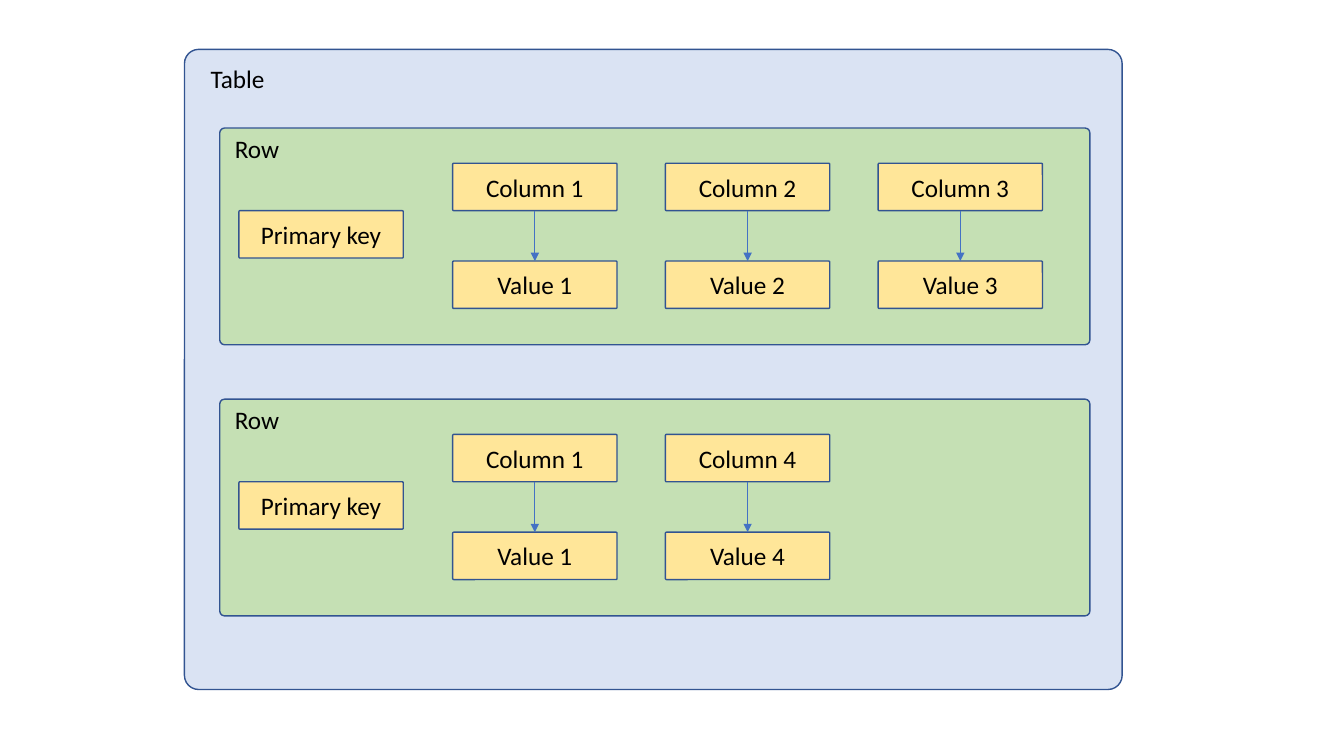
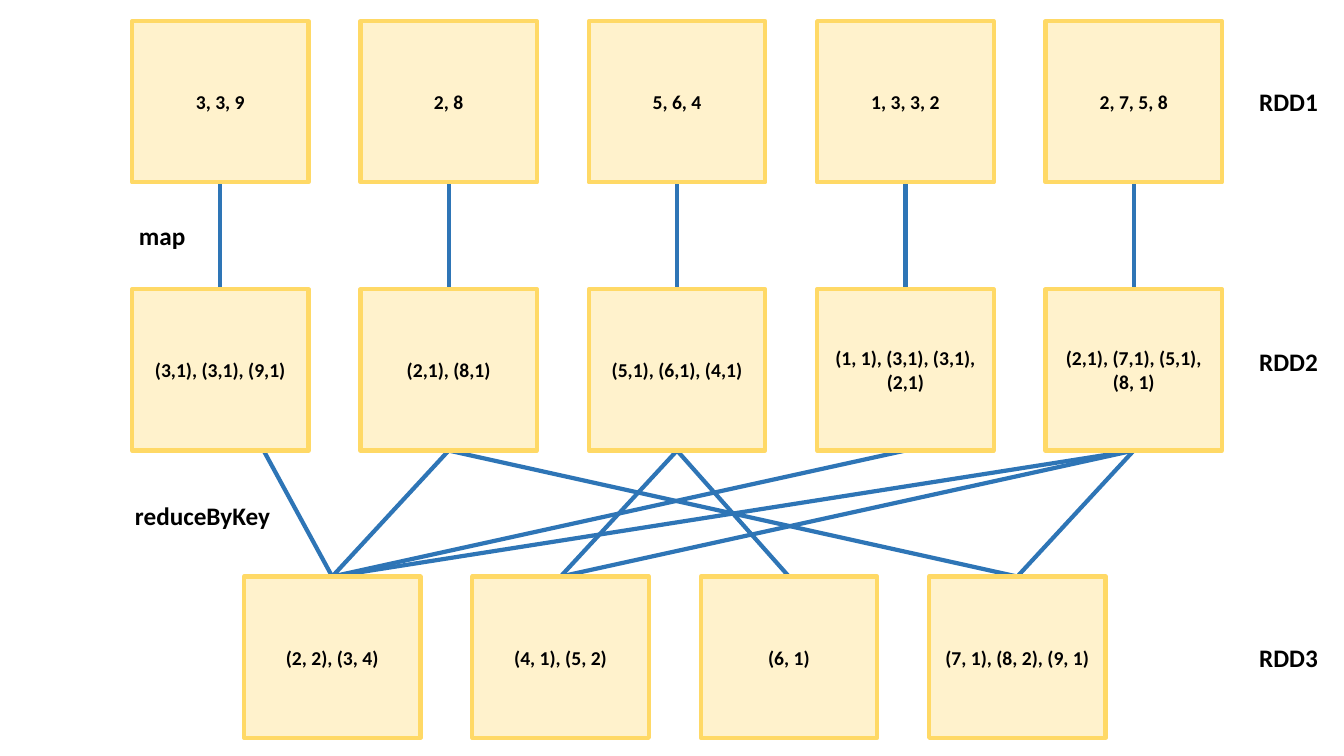
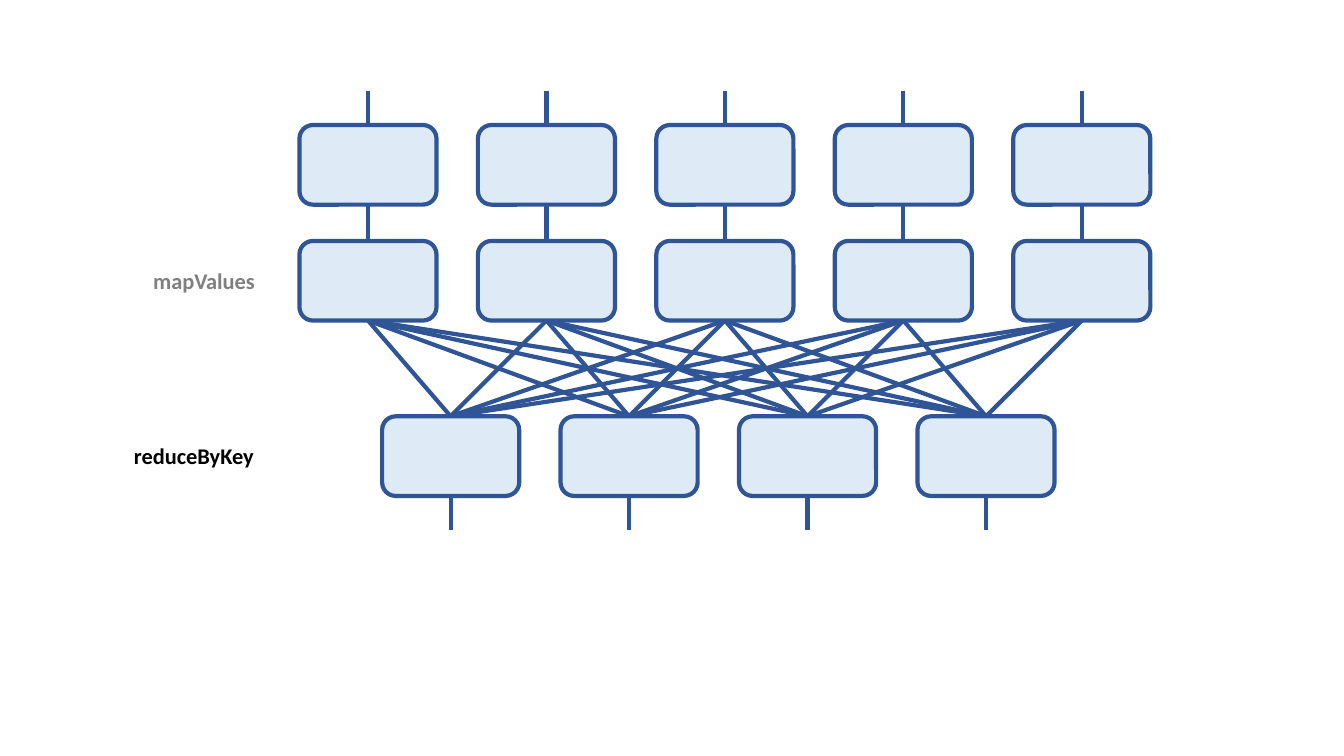
"""Build three diagram slides: table rows, RDD steps and a shuffle."""
import itertools

import lxml.etree
import pptx
import pptx.dml.color
import pptx.enum.shapes
import pptx.enum.text
import pptx.oxml.ns
import pptx.util

Inches = pptx.util.Inches
Pt = pptx.util.Pt
RGBColor = pptx.dml.color.RGBColor
Align = pptx.enum.text.PP_ALIGN
Anchor = pptx.enum.text.MSO_ANCHOR
AutoSize = pptx.enum.text.MSO_AUTO_SIZE
qn = pptx.oxml.ns.qn

BLACK = RGBColor(0x00, 0x00, 0x00)
GREY = RGBColor(0x80, 0x80, 0x80)
NAVY = RGBColor(0x32, 0x54, 0x91)
ARROW_BLUE = RGBColor(0x44, 0x72, 0xC4)
LINK_BLUE = RGBColor(0x2E, 0x75, 0xB6)
DEEP_BLUE = RGBColor(0x2F, 0x55, 0x97)
PALE_BLUE = RGBColor(0xDA, 0xE3, 0xF3)
ICE_BLUE = RGBColor(0xDE, 0xEB, 0xF7)
GREEN = RGBColor(0xC5, 0xE0, 0xB4)
YELLOW = RGBColor(0xFF, 0xE6, 0x99)
CREAM = RGBColor(0xFF, 0xF2, 0xCC)
GOLD = RGBColor(0xFF, 0xD9, 0x66)

FONT = "Calibri"
PLAIN = {"size": Pt(18), "bold": False}
STRONG = {"size": Pt(18), "bold": True}
SMALL = {"size": Pt(14), "bold": True}
MEDIUM = {"size": Pt(16), "bold": True}
FIT = {"word_wrap": False, "auto_size": AutoSize.SHAPE_TO_FIT_TEXT}
CENTRED = {"word_wrap": True, "vertical_anchor": Anchor.MIDDLE}

TABLE_STYLE = {"fill": PALE_BLUE, "line": NAVY, "width": 1, "corner": 0.022}
ROW_STYLE = {**TABLE_STYLE, "fill": GREEN}
CELL_STYLE = {**TABLE_STYLE, "fill": YELLOW, "font": PLAIN}
PART_STYLE = {"fill": CREAM, "line": GOLD, "width": 3, "corner": 0, "font": SMALL}
TASK_STYLE = {"fill": ICE_BLUE, "line": DEEP_BLUE, "width": 3, "corner": 0.17}


def add_box(page, place, text, style):
    """Add a filled box, or a plain label when the style has no fill."""
    place = [Inches(length) for length in place]
    if "fill" in style:
        box = page.shapes.add_shape(
            pptx.enum.shapes.MSO_SHAPE.ROUNDED_RECTANGLE, *place)
        box.adjustments[0] = style["corner"]
        box.shadow.inherit = False
        box.fill.solid()
        box.fill.fore_color.rgb = style["fill"]
        box.line.color.rgb = style["line"]
        box.line.width = Pt(style["width"])
        frame_format, align = CENTRED, Align.CENTER
    else:
        box = page.shapes.add_textbox(*place)
        frame_format, align = FIT, Align.LEFT
    if text:
        for name, value in frame_format.items():
            setattr(box.text_frame, name, value)
        para = box.text_frame.paragraphs[0]
        para.alignment = align
        span = para.add_run()
        span.text = text
        for name, value in {"name": FONT, **style["font"]}.items():
            setattr(span.font, name, value)
        span.font.color.rgb = style.get("color", BLACK)


def add_line(page, start, end, color, width, arrow=False):
    """Add a straight line without shadow, with an arrowhead if asked."""
    line = page.shapes.add_connector(
        pptx.enum.shapes.MSO_CONNECTOR.STRAIGHT,
        *[Inches(length) for length in (*start, *end)])
    line.line.color.rgb = color
    line.line.width = Pt(width)
    properties = line._element.spPr
    if arrow:
        outline = properties.find(qn("a:ln"))
        lxml.etree.SubElement(outline, qn("a:tailEnd"), type="triangle")
    lxml.etree.SubElement(properties, qn("a:effectLst"))


deck = pptx.Presentation()
deck.slide_width = Inches(13.33)
deck.slide_height = Inches(7.5)
blank = deck.slide_layouts[6]

page = deck.slides.add_slide(blank)
add_box(page, (1.83, 0.49, 9.3, 6.35), "", TABLE_STYLE)
add_box(page, (1.99, 0.58, 0.74, 0.4), "Table", {"font": PLAIN})
cell_width, cell_height = 1.63, 0.47
for row_top, numbers in ((1.27, (1, 2, 3)), (3.96, (1, 4))):
    add_box(page, (2.18, row_top, 8.63, 2.15), "", ROW_STYLE)
    add_box(page, (2.23, row_top, 0.65, 0.4), "Row", {"font": PLAIN})
    add_box(page, (2.37, row_top + 0.82, cell_width, cell_height),
            "Primary key", CELL_STYLE)
    column_top, value_top = row_top + 0.35, row_top + 1.32
    for index, number in enumerate(numbers):
        left = 4.49 + 2.11 * index
        middle = left + cell_width / 2
        for top, word in ((column_top, "Column"), (value_top, "Value")):
            add_box(page, (left, top, cell_width, cell_height),
                    f"{word} {number}", CELL_STYLE)
        add_line(page, (middle, column_top + cell_height), (middle, value_top),
                 ARROW_BLUE, 0.5, arrow=True)

page = deck.slides.add_slide(blank)
part_width, part_height, part_pitch = 1.75, 1.6, 9.06 / 4
rdd_rows = (
    ("RDD1", 0.81, 1.31, 0.21,
     ("3, 3, 9", "2, 8", "5, 6, 4", "1, 3, 3, 2", "2, 7, 5, 8")),
    ("RDD2", 3.39, 1.31, 2.87,
     ("(3,1), (3,1), (9,1)", "(2,1), (8,1)", "(5,1), (6,1), (4,1)",
      "(1, 1), (3,1), (3,1), (2,1)", "(2,1), (7,1), (5,1), (8, 1)")),
    ("RDD3", 6.32, 2.42, 5.72,
     ("(2, 2), (3, 4)", "(4, 1), (5, 2)", "(6, 1)", "(7, 1), (8, 2), (9, 1)")),
)
sources = [1.31 + part_width / 2 + part_pitch * index for index in range(5)]
targets = [2.42 + part_width / 2 + part_pitch * index for index in range(4)]
for middle in sources:
    add_line(page, (middle, 1.81), (middle, 2.87), LINK_BLUE, 3)
add_line(page, (2.25, 3.8), (targets[0], 5.72), LINK_BLUE, 3)
shuffle = ((1, 0), (1, 3), (2, 1), (2, 2), (3, 0), (4, 0), (4, 1), (4, 3))
for source, target in shuffle:
    add_line(page, (sources[source], 4.47), (targets[target], 5.72), LINK_BLUE, 3)
for name, name_top, first_left, top, parts in rdd_rows:
    for index, part in enumerate(parts):
        add_box(page, (first_left + part_pitch * index, top, part_width, part_height),
                part, PART_STYLE)
    add_box(page, (12.39, name_top, 0.79, 0.4), name, {"font": STRONG})
add_box(page, (1.28, 2.14, 0.67, 0.4), "map", {"font": STRONG})
add_box(page, (1.24, 4.91, 1.55, 0.4), "reduceByKey", {"font": STRONG})

page = deck.slides.add_slide(blank)
task_width, task_height, task_pitch, stub = 1.36, 0.79, 1.77, 0.34
map_lefts = [2.97 + task_pitch * index for index in range(5)]
reduce_lefts = [3.79 + task_pitch * index for index in range(4)]
half = task_width / 2
for map_left, reduce_left in itertools.product(map_lefts, reduce_lefts):
    add_line(page, (map_left + half, 3.18), (reduce_left + half, 4.13), DEEP_BLUE, 3)
for lefts, stub_top in ((map_lefts, 0.9), (map_lefts, 2.04), (reduce_lefts, 4.92)):
    for left in lefts:
        add_line(page, (left + half, stub_top), (left + half, stub_top + stub),
                 DEEP_BLUE, 3)
for lefts, top in ((map_lefts, 1.24), (map_lefts, 2.39), (reduce_lefts, 4.13)):
    for left in lefts:
        add_box(page, (left, top, task_width, task_height), "", TASK_STYLE)
add_box(page, (1.42, 2.6, 1.22, 0.37), "mapValues", {"font": MEDIUM, "color": GREY})
add_box(page, (1.23, 4.34, 1.41, 0.37), "reduceByKey", {"font": MEDIUM})

deck.save("out.pptx")
